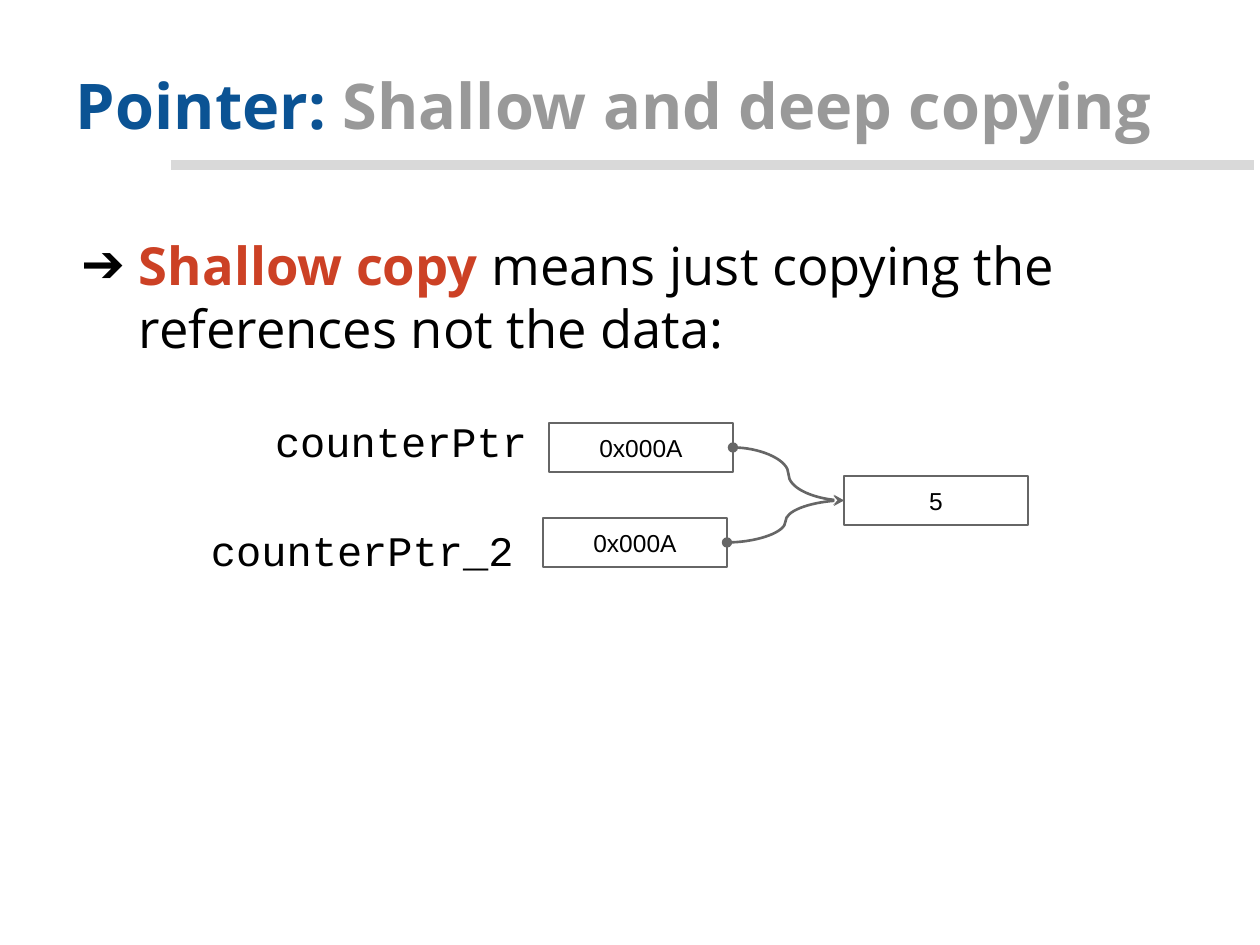
"""Build a slide on shallow copying of pointers."""
from lxml.etree import SubElement as Sub
from pptx import Presentation
from pptx.dml.color import RGBColor
from pptx.enum.shapes import MSO_CONNECTOR as Link, MSO_SHAPE as Kind
from pptx.enum.text import MSO_ANCHOR as Anchor, MSO_AUTO_SIZE as Fit, PP_ALIGN as Align
from pptx.oxml.ns import qn
from pptx.util import Pt

UNIT = 914400 / 126
GREY = "666666"


def px(*vals):
    return [round(val * UNIT) for val in vals]


def rgb(code):
    return RGBColor.from_string(code)


deck = Presentation()
deck.slide_width, deck.slide_height = px(1260, 945)
slide = deck.slides.add_slide(deck.slide_layouts[1])
shapes = slide.shapes
title, body = slide.placeholders

rule = shapes.add_connector(Link.STRAIGHT, *px(171, 165, 1254, 165))
rule.line.color.rgb = rgb("D9D9D9")
rule.line.width = Pt(6)
wires = [rule]

heads = [
    (title, (63, 38, 1134, 117), Anchor.BOTTOM, 36,
     [("Pointer: ", "0B5394", True), ("Shallow and deep copying", "999999", True)]),
    (body, (63, 220, 1134, 684), Anchor.TOP, 30,
     [("Shallow copy", "CC4125", True),
      (" means just copying the references not the data:", "000000", False)]),
]
for hold, area, anchor, size, runs in heads:
    hold.left, hold.top, hold.width, hold.height = px(*area)
    frame = hold.text_frame
    frame.auto_size = Fit.NONE
    frame.vertical_anchor = anchor
    frame.margin_left, frame.margin_top, frame.margin_right, frame.margin_bottom = px(13, 13, 13, 13)
    para = frame.paragraphs[0]
    para.alignment = Align.LEFT
    para.space_before = Pt(0)
    if hold is body:
        props = para._p.get_or_add_pPr()
        left, hang = px(63, -58)
        props.set("marL", str(left))
        props.set("indent", str(hang))
        tint = Sub(props, qn("a:buClr"))
        Sub(tint, qn("a:srgbClr"), val="000000")
        Sub(props, qn("a:buChar"), char="➔")
    para.font.name = "Open Sans"
    para.font.size = Pt(size)
    for words, tone, bold in runs:
        run = para.add_run()
        run.text = words
        run.font.bold = bold
        run.font.color.rgb = rgb(tone)

labels = [("counterPtr", (262, 404, 281, 74)), ("counterPtr_2", (198, 513, 357, 74))]
cells = [("5", 844, 476), ("0x000A", 549, 423), ("0x000A", 543, 518)]
items = [(shapes.add_textbox(*px(*area)), words, "Courier New", 24, Align.LEFT)
         for words, area in labels]
boxes = []
for words, left, top in cells:
    box = shapes.add_shape(Kind.RECTANGLE, *px(left, top, 184, 49))
    box.shadow.inherit = False
    box.fill.solid()
    box.fill.fore_color.rgb = rgb("FFFFFF")
    box.line.color.rgb = rgb(GREY)
    box.line.width = Pt(1.5)
    boxes.append(box)
    items.append((box, words, "Arial", 14, Align.CENTER))

for item, words, face, size, align in items:
    frame = item.text_frame
    frame.word_wrap = True
    frame.vertical_anchor = Anchor.MIDDLE
    frame.margin_left, frame.margin_top, frame.margin_right, frame.margin_bottom = px(13, 13, 13, 13)
    para = frame.paragraphs[0]
    para.text = words
    para.alignment = align
    para.font.name = face
    para.font.size = Pt(size)
    para.font.color.rgb = rgb("000000")

value, *refs = boxes
for ref in refs:
    wire = shapes.add_connector(Link.CURVE, 0, 0, 0, 0)
    wire.begin_connect(ref, 3)
    wire.end_connect(value, 1)
    wire.line.color.rgb = rgb(GREY)
    wire.line.width = Pt(1.5)
    line = wire.line._get_or_add_ln()
    Sub(line, qn("a:headEnd"), type="oval")
    Sub(line, qn("a:tailEnd"), type="stealth")
    wires.append(wire)

for wire in wires:
    Sub(wire._element.spPr, qn("a:effectLst"))

deck.save("out.pptx")
